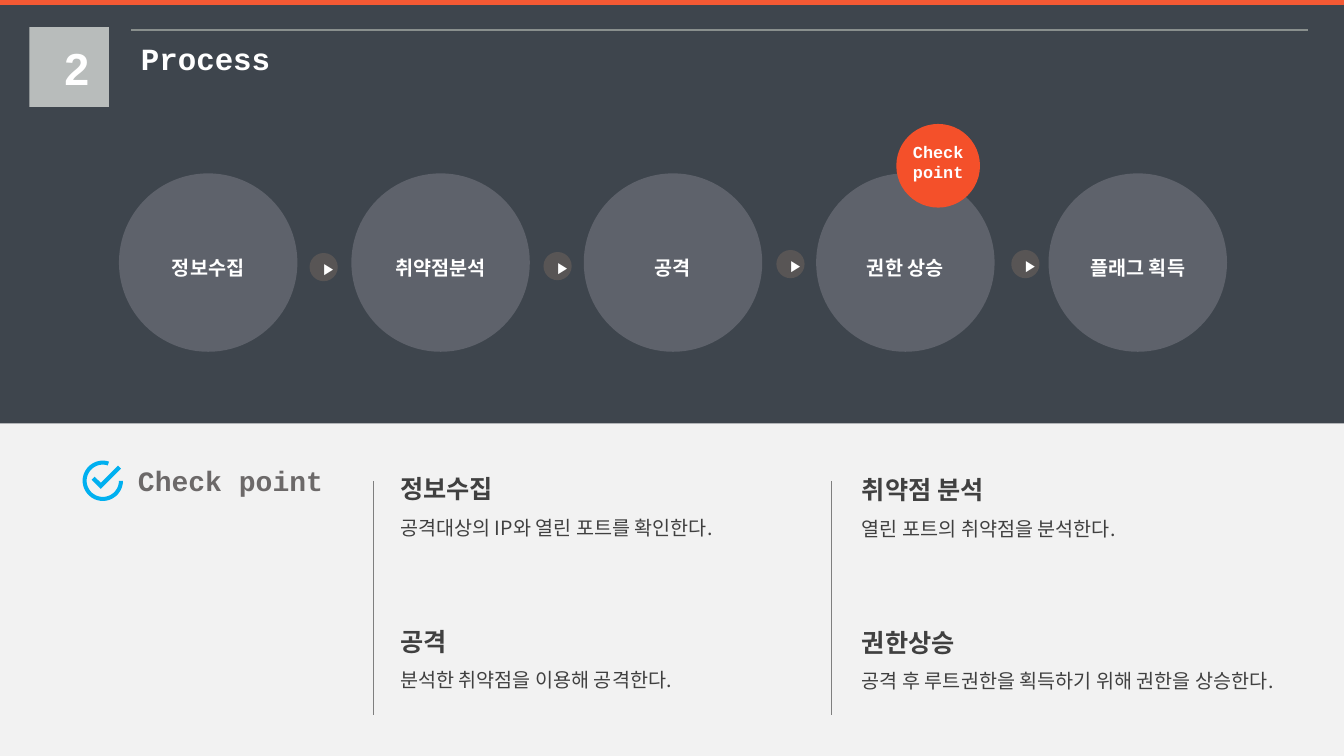
from dataclasses import dataclass
from math import cos, radians, sin

from lxml.etree import SubElement
from pptx import Presentation
from pptx.dml.color import RGBColor
from pptx.enum.shapes import MSO_CONNECTOR, MSO_SHAPE
from pptx.enum.text import PP_ALIGN
from pptx.oxml.ns import qn
from pptx.util import Inches, Pt


@dataclass(frozen=True)
class Theme:
    page: str = "F2F2F2"
    band: str = "3E454D"
    strip: str = "F45934"
    circle: str = "5E626B"
    arrow: str = "585555"
    badge: str = "F4502A"
    number_tile: str = "B8BCBB"
    rule: str = "898F8D"
    divider: str = "7F7F7F"
    check: str = "00B0F0"
    white: str = "FFFFFF"
    body: str = "404040"
    caption: str = "6C6969"
    sans: str = "Arial"
    mono: str = "Courier New"
    korean: str = "Noto Sans CJK KR"
    number_size: int = 32
    title_size: int = 22
    caption_size: int = 20
    heading_size: int = 18
    text_size: int = 14
    badge_size: int = 12
    arrow_size: int = 11


@dataclass(frozen=True)
class Note:
    left: float
    top: float
    heading: str
    detail: str


T = Theme()
STEPS = ["정보수집", "취약점분석", "공격", "권한 상승", "플래그 획득"]
STEP_LEFT, STEP_TOP, STEP_SIZE, STEP_PITCH = 1.18, 1.72, 1.77, 2.305
ARROWS = [(3.07, 2.51), (5.39, 2.5), (7.7, 2.48), (10.03, 2.48)]
NOTES = [
    Note(3.87, 4.5, "정보수집", "공격대상의 IP와 열린 포트를 확인한다."),
    Note(8.45, 4.51, "취약점 분석", "열린 포트의 취약점을 분석한다."),
    Note(3.87, 6.01, "공격", "분석한 취약점을 이용해 공격한다."),
    Note(8.45, 6.02, "권한상승", "공격 후 루트권한을 획득하기 위해 권한을 상승한다."),
]

prs = Presentation()
prs.slide_width, prs.slide_height = Inches(13.33), Inches(7.5)
slide = prs.slides.add_slide(prs.slide_layouts[6])
slide.background.fill.solid()
slide.background.fill.fore_color.rgb = RGBColor.from_string(T.page)


def paint(sp, color: str) -> None:
    sp.shadow.inherit = False
    sp.fill.solid()
    sp.fill.fore_color.rgb = RGBColor.from_string(color)
    sp.line.fill.background()


def add_block(kind: MSO_SHAPE, left: float, top: float, width: float,
              height: float, color: str) -> None:
    sp = slide.shapes.add_shape(
        kind, Inches(left), Inches(top), Inches(width), Inches(height))
    paint(sp, color)


def add_text_box(left: float, top: float, width: float, height: float):
    tf = slide.shapes.add_textbox(
        Inches(left), Inches(top), Inches(width), Inches(height)).text_frame
    tf.word_wrap = True
    return tf


def write(p, text: str, *, size: int, color: str, font: str = T.sans,
          bold: bool = True, align: PP_ALIGN = PP_ALIGN.LEFT,
          spacing: float = 1.0, east_asian: str = "") -> None:
    p.alignment = align
    p.line_spacing = spacing
    r = p.add_run()
    r.text = text
    r.font.size, r.font.bold, r.font.name = Pt(size), bold, font
    r.font.color.rgb = RGBColor.from_string(color)
    if east_asian:
        SubElement(r.font._element, qn("a:ea"), typeface=east_asian)


def add_line(x1: float, y1: float, x2: float, y2: float, color: str,
             width: float) -> None:
    ln = slide.shapes.add_connector(
        MSO_CONNECTOR.STRAIGHT, Inches(x1), Inches(y1), Inches(x2), Inches(y2))
    ln.line.color.rgb = RGBColor.from_string(color)
    ln.line.width = Pt(width)
    SubElement(ln._element.spPr, qn("a:effectLst"))


def add_step(index: int, label: str) -> None:
    left = STEP_LEFT + index * STEP_PITCH
    add_block(MSO_SHAPE.OVAL, left, STEP_TOP, STEP_SIZE, STEP_SIZE, T.circle)
    tf = add_text_box(left + 0.1, 2.37, 1.57, 0.41)
    write(tf.paragraphs[0], label, size=T.text_size, color=T.white,
          align=PP_ALIGN.CENTER, spacing=1.5, east_asian=T.korean)


def add_arrow(left: float, top: float) -> None:
    add_block(MSO_SHAPE.OVAL, left, top, 0.28, 0.28, T.arrow)
    tf = add_text_box(left + 0.04, top - 0.08, 0.22, 0.34)
    write(tf.paragraphs[0], "▶", size=T.arrow_size, color=T.white,
          align=PP_ALIGN.CENTER, spacing=1.5)


def add_note(note: Note) -> None:
    tf = add_text_box(note.left, note.top, 4.25, 0.91)
    write(tf.paragraphs[0], note.heading, size=T.heading_size, color=T.body,
          spacing=1.5, east_asian=T.korean)
    write(tf.add_paragraph(), note.detail, size=T.text_size, color=T.body,
          font=T.korean, bold=False, spacing=1.5, east_asian=T.korean)


def add_check_icon(cx: float, cy: float) -> None:
    """Draw an open ring and the tick inside it as one outline."""
    def arc(radius: float, angles: range) -> list[tuple[float, float]]:
        return [(cx + radius * cos(radians(a)), cy - radius * sin(radians(a)))
                for a in angles]

    ring = arc(0.2, range(72, 361, 6)) + arc(0.16, range(360, 71, -6))
    tick = [(1.17, 4.62), (1.2, 4.65), (1, 4.85), (0.91, 4.76), (0.94, 4.73),
            (1, 4.79)]
    outlines = [[(Inches(x), Inches(y)) for x, y in pts] for pts in (ring, tick)]
    builder = slide.shapes.build_freeform(*outlines[0][0])
    for pts in outlines:
        builder.move_to(*pts[0])
        builder.add_line_segments(pts[1:], close=True)
    paint(builder.convert_to_shape(), T.check)


def main() -> None:
    add_block(MSO_SHAPE.RECTANGLE, 0, 0, 13.33, 0.05, T.strip)
    add_block(MSO_SHAPE.RECTANGLE, 0, 0.05, 13.33, 4.15, T.band)

    for index, label in enumerate(STEPS):
        add_step(index, label)
    for left, top in ARROWS:
        add_arrow(left, top)
    add_block(MSO_SHAPE.OVAL, 8.89, 1.23, 0.83, 0.83, T.badge)
    write(add_text_box(8.83, 1.36, 0.95, 0.5).paragraphs[0], "Check point",
          size=T.badge_size, color=T.white, font=T.mono, align=PP_ALIGN.CENTER)

    add_check_icon(1.02, 4.77)
    write(add_text_box(1.27, 4.55, 2.19, 0.44).paragraphs[0], "Check point",
          size=T.caption_size, color=T.caption, font=T.mono)
    for note in NOTES:
        add_note(note)
    for x in (3.7, 8.25):
        add_line(x, 4.77, x, 7.09, T.divider, 0.5)

    add_line(1.3, 0.3, 12.97, 0.3, T.rule, 1.5)
    add_block(MSO_SHAPE.RECTANGLE, 0.29, 0.27, 0.79, 0.79, T.number_tile)
    write(add_text_box(0.54, 0.35, 0.28, 0.64).paragraphs[0], "2",
          size=T.number_size, color=T.white, align=PP_ALIGN.CENTER)
    write(add_text_box(1.3, 0.35, 1.78, 0.47).paragraphs[0], "Process",
          size=T.title_size, color=T.white, font=T.mono)

    prs.save("out.pptx")


if __name__ == "__main__":
    main()
